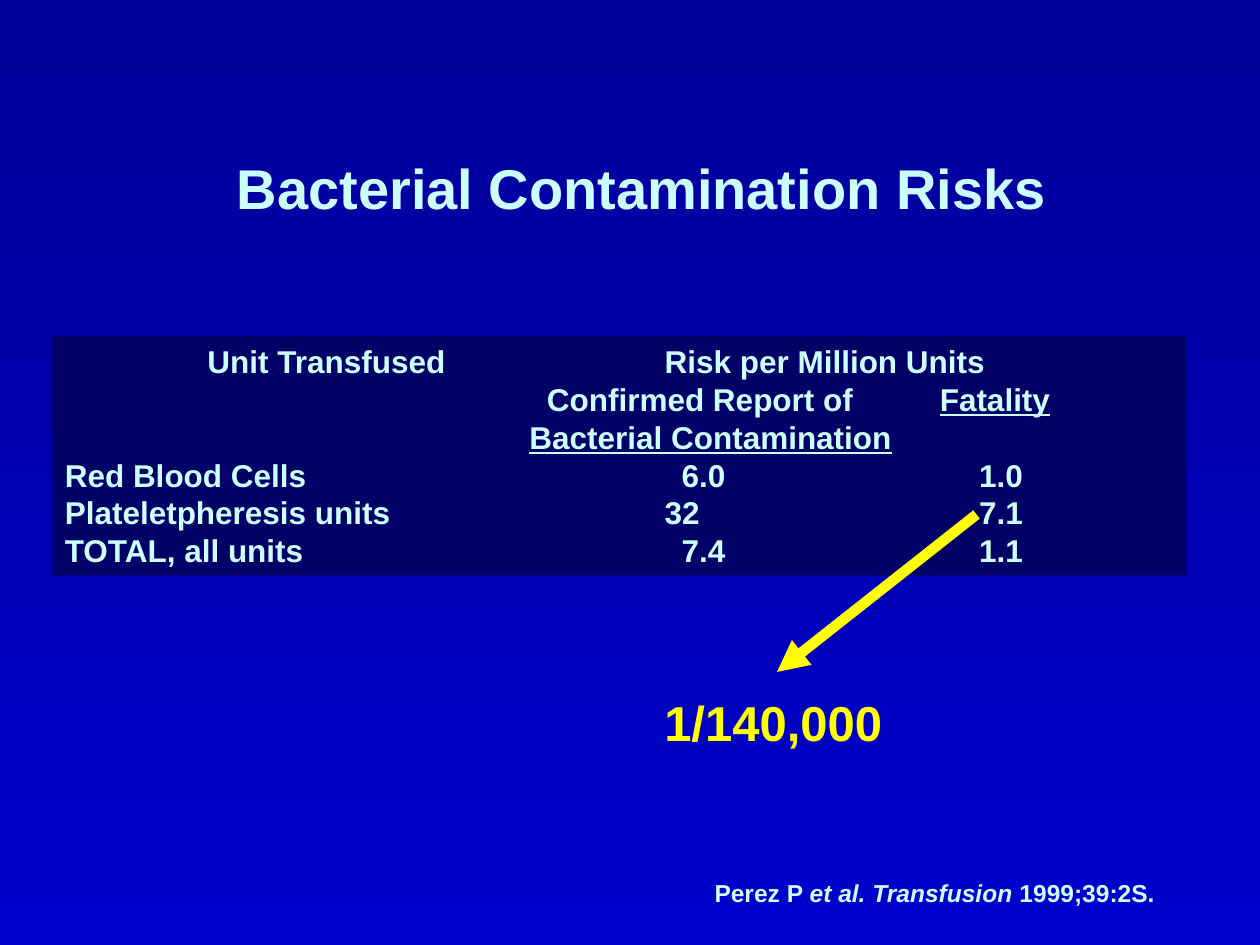
from lxml import etree
from pptx import Presentation
from pptx.dml.color import RGBColor
from pptx.enum.shapes import MSO_CONNECTOR, MSO_SHAPE
from pptx.enum.text import MSO_ANCHOR, MSO_AUTO_SIZE, PP_ALIGN
from pptx.oxml.ns import qn
from pptx.util import Pt

STRAIGHT = MSO_CONNECTOR.STRAIGHT
RECTANGLE = MSO_SHAPE.RECTANGLE
TOP = MSO_ANCHOR.TOP
GROW = MSO_AUTO_SIZE.SHAPE_TO_FIT_TEXT
LEFT, CENTER = PP_ALIGN.LEFT, PP_ALIGN.CENTER

FONT = "Arial"
BLUE_TOP = RGBColor(0x00, 0x00, 0x99)
BLUE_BOTTOM = RGBColor(0x00, 0x00, 0xCC)
NAVY = RGBColor(0x00, 0x00, 0x66)
PALE_CYAN = RGBColor(0xCC, 0xFF, 0xFF)
YELLOW = RGBColor(0xFF, 0xFF, 0x00)

# Tab positions in points from the left text edge of the risk panel
UNIT, CONFIRMED, CONTAMINATION = 81.5, 275.5, 265.5
RISK, DECIMAL_VALUE = 342.75, 352.5
FATALITY, FATALITY_VALUE = 500, 522.5

# Each row: its tab stops, then its runs as (text, underlined)
RISK_ROWS = [
    ((UNIT, RISK), [("\tUnit Transfused\tRisk per Million Units", False)]),
    ((CONFIRMED, FATALITY),
     [("\tConfirmed Report of\t", False), ("Fatality", True)]),
    ((CONTAMINATION,), [("\t", False), ("Bacterial Contamination", True)]),
    ((DECIMAL_VALUE, FATALITY_VALUE), [("Red Blood Cells\t6.0\t1.0", False)]),
    ((RISK, FATALITY_VALUE), [("Plateletpheresis units\t32\t7.1", False)]),
    ((DECIMAL_VALUE, FATALITY_VALUE), [("TOTAL, all units\t7.4\t1.1", False)]),
]


def points(*lengths):
    return [Pt(length) for length in lengths]


def add_run(paragraph, text, size, color=PALE_CYAN, italic=False, underline=False):
    run = paragraph.add_run()
    run.text = text
    font = run.font
    font.name, font.size, font.bold = FONT, Pt(size), True
    font.italic, font.underline = italic, underline
    font.color.rgb = color


def set_tab_stops(paragraph, stops):
    tab_list = etree.SubElement(paragraph._p.get_or_add_pPr(), qn("a:tabLst"))
    for stop in stops:
        etree.SubElement(tab_list, qn("a:tab"), pos=str(Pt(stop)), algn="l")


def add_background(slide):
    fill = slide.background.fill
    fill.gradient()
    fill.gradient_angle = 270
    for stop, color in zip(fill.gradient_stops, (BLUE_TOP, BLUE_BOTTOM)):
        stop.color.rgb = color


def add_risk_panel(slide, box):
    panel = slide.shapes.add_shape(RECTANGLE, *points(*box))
    panel.shadow.inherit = False
    panel.fill.solid()
    panel.fill.fore_color.rgb = NAVY
    panel.line.fill.background()
    frame = panel.text_frame
    frame.word_wrap = True
    frame.vertical_anchor = TOP
    for index, (stops, runs) in enumerate(RISK_ROWS):
        row = frame.add_paragraph() if index else frame.paragraphs[0]
        row.alignment = LEFT
        set_tab_stops(row, stops)
        for text, underlined in runs:
            add_run(row, text, 18, underline=underlined)


def add_line_of_text(slide, box, wrap=False, alignment=LEFT):
    """Add a one-line text box and return its empty paragraph."""
    frame = slide.shapes.add_textbox(*points(*box)).text_frame
    frame.word_wrap = wrap
    frame.auto_size = GROW
    paragraph = frame.paragraphs[0]
    paragraph.alignment = alignment
    return paragraph


def add_title(slide, box):
    title = add_line_of_text(slide, box, wrap=True, alignment=CENTER)
    add_run(title, "Bacterial Contamination Risks ", 32)


def add_citation(slide, box):
    citation = add_line_of_text(slide, box)
    add_run(citation, "Perez P ", 14)
    add_run(citation, "et al. Transfusion", 14, italic=True)
    add_run(citation, " 1999;39:2S.", 14)


def add_fatality_arrow(slide, start, end):
    arrow = slide.shapes.add_connector(STRAIGHT, *points(*start, *end))
    arrow.line.color.rgb = YELLOW
    arrow.line.width = Pt(6)
    etree.SubElement(arrow.line._get_or_add_ln(), qn("a:tailEnd"), type="triangle")
    etree.SubElement(arrow._element.spPr, qn("a:effectLst"))


def add_fatality_odds(slide, box):
    odds = add_line_of_text(slide, box)
    add_run(odds, "1/140,000", 28, YELLOW)


def main():
    deck = Presentation()
    deck.slide_width, deck.slide_height = points(720, 540)
    slide = deck.slides.add_slide(deck.slide_layouts[6])
    add_background(slide)
    add_risk_panel(slide, (30, 192, 648, 137))
    add_citation(slide, (401.25, 498, 266.5, 24.5))
    add_title(slide, (84, 84, 574.5, 46))
    add_fatality_arrow(slide, (558, 294), (444, 384))
    add_fatality_odds(slide, (372.5, 392, 140, 41))
    deck.save("out.pptx")


if __name__ == "__main__":
    main()
